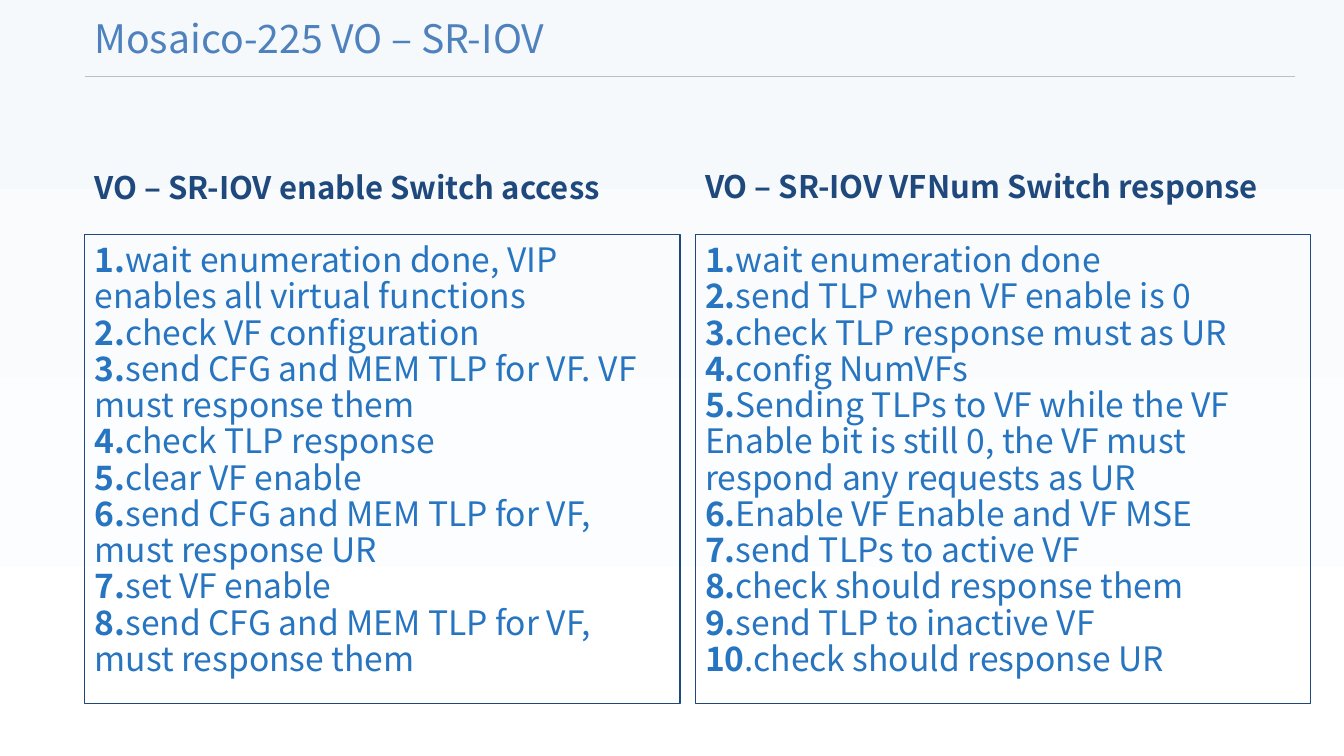
import pptx
import pptx.util
import pptx.dml.color
import pptx.enum.dml
import pptx.enum.shapes
import pptx.enum.text
import pptx.oxml
from pptx.util import Inches

ANCHOR = pptx.enum.text.MSO_ANCHOR
THEME = {
    "font": "Noto Sans CJK SC",
    "background": ["F6F9FC", "FFFFFF"],
    "rule": "BFBFBF",
    "border": "1F497D",
    "title": {"size": 28, "color": "4F81BD", "bold": False},
    "heading": {"size": 22.2, "color": "1F497D", "bold": True},
    "number": {"size": 24, "color": "2775C0", "bold": True},
    "step": {"size": 24, "color": "2775C0", "bold": False},
    "step_pitch": 25.9,
}

COLUMNS = [
    {
        "left": 0.84, "width": 5.91, "heading_top": 1.39, "heading_width": 5.67,
        "heading": "VO – SR-IOV enable Switch access",
        "steps": [
            "wait enumeration done, VIP enables all virtual functions",
            "check VF configuration",
            "send CFG and MEM TLP for VF. VF must response them",
            "check TLP response",
            "clear VF enable",
            "send CFG and MEM TLP for VF, must response UR",
            "set VF enable",
            "send CFG and MEM TLP for VF, must response them",
        ],
    },
    {
        "left": 6.9, "width": 6.11, "heading_top": 1.38, "heading_width": 5.96,
        "heading": "VO – SR-IOV VFNum Switch response",
        "steps": [
            "wait enumeration done",
            "send TLP when VF enable is 0",
            "check TLP response must as UR",
            "config NumVFs",
            "Sending TLPs to VF while the VF Enable bit is still 0, "
            "the VF must respond any requests as UR",
            "Enable VF Enable and VF MSE",
            "send TLPs to active VF",
            "check should response them",
            "send TLP to inactive VF",
            "check should response UR",
        ],
    },
]


def color(name):
    return pptx.dml.color.RGBColor.from_string(name)


def add_run(paragraph, text, style):
    run = paragraph.add_run()
    run.text = text
    values = {"name": THEME["font"], "size": pptx.util.Pt(style["size"]), "bold": style["bold"]}
    for attribute, value in values.items():
        setattr(run.font, attribute, value)
    run.font.color.rgb = color(style["color"])


presentation = pptx.Presentation()
presentation.slide_width = Inches(13.34)
presentation.slide_height = Inches(7.5)
slide = presentation.slides.add_slide(presentation.slide_layouts[6])

background = slide.background.fill
background.gradient()
background.gradient_angle = 270
for stop, name in zip(background.gradient_stops, THEME["background"]):
    stop.color.rgb = color(name)

rule = slide.shapes.add_connector(
    pptx.enum.shapes.MSO_CONNECTOR.STRAIGHT,
    Inches(0.84), Inches(0.76), Inches(12.85), Inches(0.76))
rule.line.color.rgb = color(THEME["rule"])
rule.line.width = pptx.util.Pt(1)
rule._element.spPr.append(pptx.oxml.parse_xml(
    '<a:effectLst xmlns:a="http://schemas.openxmlformats.org/drawingml/2006/main"/>'))

labels = [("Mosaico-225 VO – SR-IOV", "title", ANCHOR.MIDDLE, 0.84, 0, 10.57, 0.76)]
for column in COLUMNS:
    labels.append((column["heading"], "heading", ANCHOR.BOTTOM, column["left"],
                   column["heading_top"], column["heading_width"], 0.7))

for text, style, anchor, left, top, width, height in labels:
    label = slide.shapes.add_textbox(Inches(left), Inches(top), Inches(width), Inches(height))
    label.text_frame.word_wrap = True
    label.text_frame.vertical_anchor = anchor
    add_run(label.text_frame.paragraphs[0], text, THEME[style])

for column in COLUMNS:
    panel = slide.shapes.add_shape(
        pptx.enum.shapes.MSO_SHAPE.RECTANGLE,
        Inches(column["left"]), Inches(2.33), Inches(column["width"]), Inches(4.65))
    panel.shadow.inherit = False
    panel.fill.background()
    panel.line.color.rgb = color(THEME["border"])
    panel.line.width = pptx.util.Pt(0.75)
    frame = panel.text_frame
    frame_format = {"word_wrap": True, "vertical_anchor": ANCHOR.TOP, "margin_top": Inches(0.08)}
    for attribute, value in frame_format.items():
        setattr(frame, attribute, value)
    for number, step in enumerate(column["steps"], 1):
        paragraph = frame.paragraphs[0] if number == 1 else frame.add_paragraph()
        paragraph.alignment = pptx.enum.text.PP_ALIGN.LEFT
        paragraph.line_spacing = pptx.util.Pt(THEME["step_pitch"])
        dot_is_bold = number < 10
        add_run(paragraph, f"{number}." if dot_is_bold else str(number), THEME["number"])
        add_run(paragraph, step if dot_is_bold else f".{step}", THEME["step"])

presentation.save("out.pptx")
